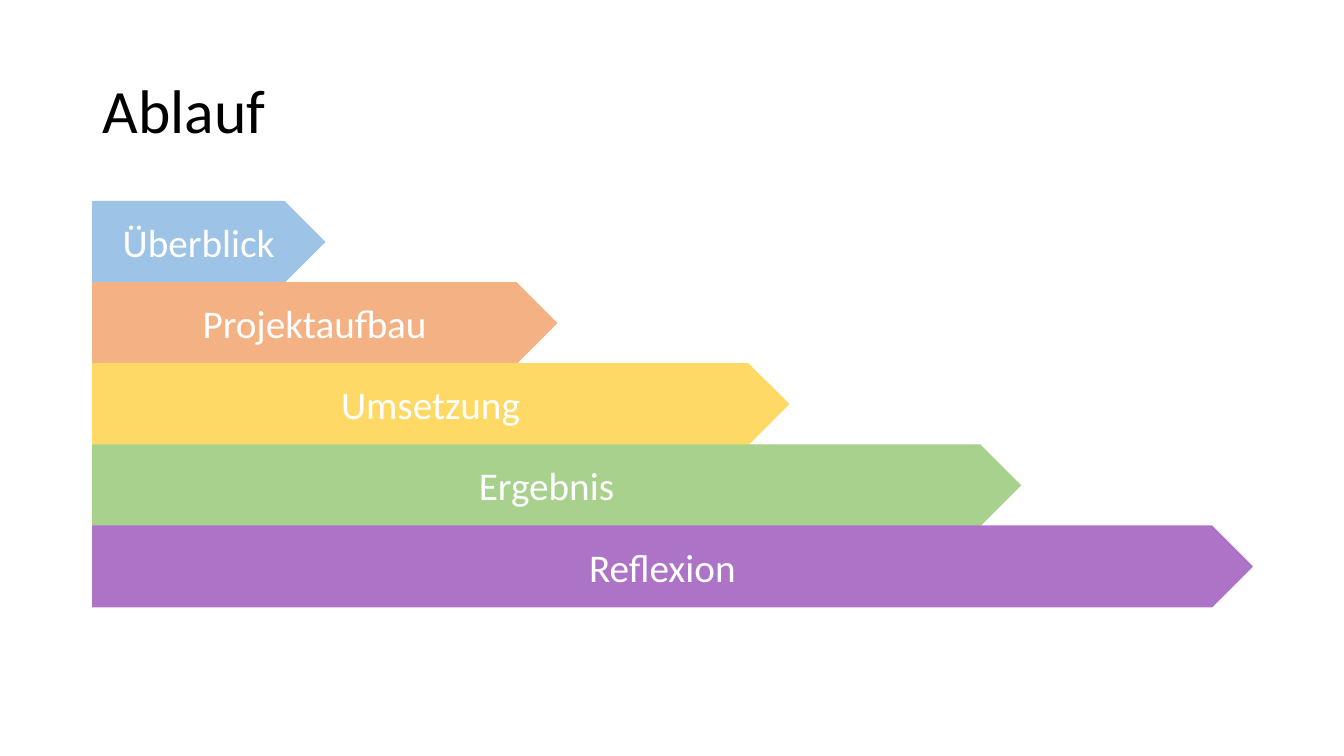
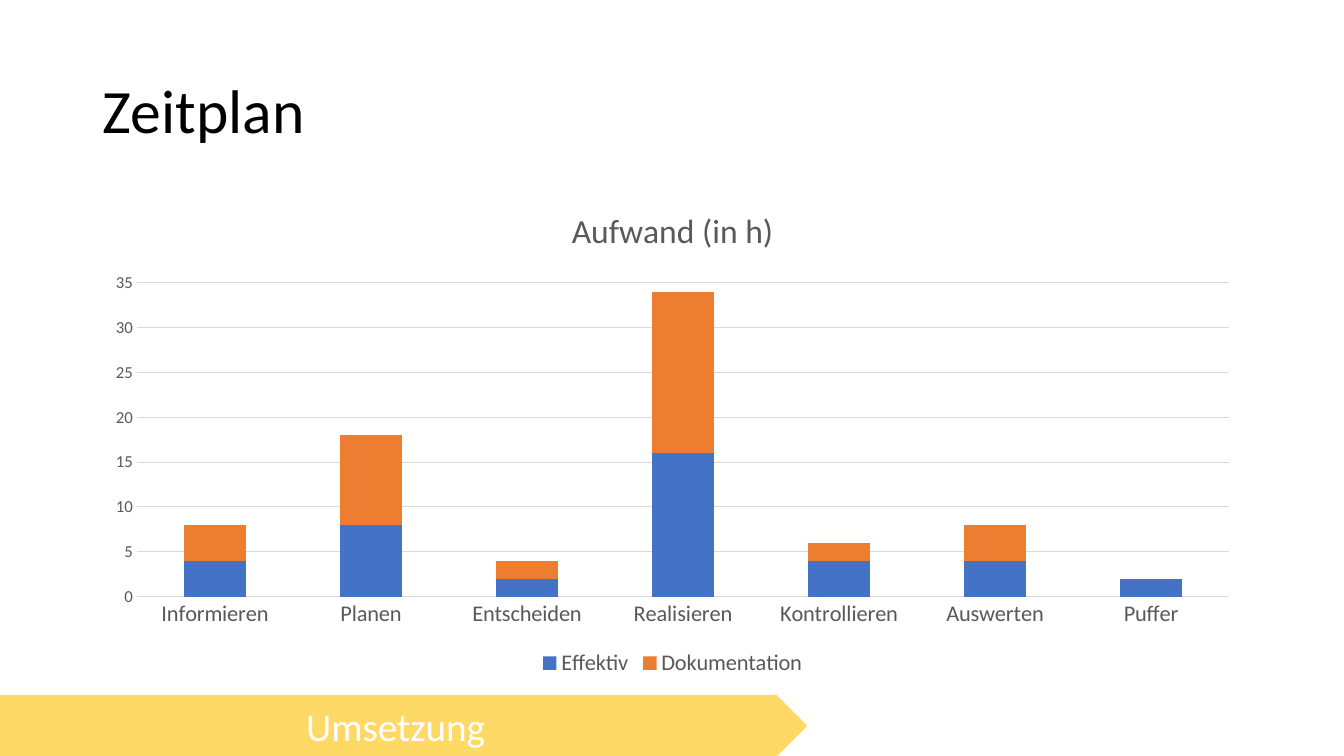
import pptx
import pptx.util
import pptx.chart.data
import pptx.dml.color
import pptx.enum.chart
import pptx.enum.dml
import pptx.enum.shapes
import pptx.enum.text

Inches, Pt = pptx.util.Inches, pptx.util.Pt
FONT = "Calibri"
GREY, GRID = "595959", "D9D9D9"
STEPS = {
    "Überblick": "9DC3E6",
    "Projektaufbau": "F4B183",
    "Umsetzung": "FFD966",
    "Ergebnis": "A9D18E",
    "Reflexion": "AD73C7",
}

prs = pptx.Presentation()
prs.slide_width, prs.slide_height = Inches(13.33), Inches(7.5)
MARGIN, CONTENT_W = Inches(0.92), Inches(11.5)


def style(font, size, color):
    font.name, font.size, font.bold = FONT, Pt(size), False
    font.color.rgb = pptx.dml.color.RGBColor.from_string(color)


def add_step(s, name, left, top, width, height):
    """Draw one step of the agenda as an arrow band in its own colour."""
    sp = s.shapes.add_shape(pptx.enum.shapes.MSO_SHAPE.PENTAGON, left, top, width, height)
    sp.shadow.inherit = False
    color = pptx.dml.color.RGBColor.from_string(STEPS[name])
    sp.fill.solid()
    sp.fill.fore_color.rgb = color
    sp.line.color.rgb = color
    sp.line.width = Pt(1)
    tf = sp.text_frame
    tf.vertical_anchor = pptx.enum.text.MSO_ANCHOR.MIDDLE
    p = tf.paragraphs[0]
    p.text = name
    p.alignment = pptx.enum.text.PP_ALIGN.CENTER
    style(p.font, 28, "FFFFFF")


# Slides with their shared title style
slides = []
for heading in ("Ablauf", "Zeitplan"):
    s = prs.slides.add_slide(prs.slide_layouts[5])
    title = s.shapes.title
    title.left, title.top, title.width, title.height = MARGIN, Inches(0.4), CONTENT_W, Inches(1.45)
    title.text_frame.vertical_anchor = pptx.enum.text.MSO_ANCHOR.MIDDLE
    p = title.text_frame.paragraphs[0]
    p.text = heading
    p.alignment = pptx.enum.text.PP_ALIGN.LEFT
    p.line_spacing = 0.9
    style(p.font, 44, "000000")
    slides.append(s)
agenda, schedule = slides

# Agenda: each band is one column longer than the one above
column, row = CONTENT_W // len(STEPS), Inches(0.805)
for i, name in enumerate(STEPS):
    add_step(agenda, name, MARGIN, Inches(2) + i * row, (i + 1) * column, Inches(0.8))

# Schedule: the band at the foot shows how far the talk has come
current = "Umsetzung"
progress = (list(STEPS).index(current) + 1) / len(STEPS)
band_h = Inches(0.6)
add_step(schedule, current, 0, prs.slide_height - band_h, int(prs.slide_width * progress), band_h)

data = pptx.chart.data.CategoryChartData()
data.categories = ["Informieren", "Planen", "Entscheiden", "Realisieren",
                   "Kontrollieren", "Auswerten", "Puffer"]
data.add_series("Effektiv", (4, 8, 2, 16, 4, 4, 2))
data.add_series("Dokumentation", (4, 10, 2, 18, 2, 4, 0))
chart = schedule.shapes.add_chart(
    pptx.enum.chart.XL_CHART_TYPE.COLUMN_STACKED,
    MARGIN, Inches(1.85), CONTENT_W, Inches(4.91), data).chart
style(chart.font, 10, "000000")

chart.has_title = True
p = chart.chart_title.text_frame.paragraphs[0]
p.text = "Aufwand (in h)"
style(p.font, 24, GREY)
chart.chart_title.include_in_layout = False

chart.has_legend = True
chart.legend.position = pptx.enum.chart.XL_LEGEND_POSITION.BOTTOM
chart.legend.include_in_layout = False
style(chart.legend.font, 16, GREY)

plot = chart.plots[0]
plot.gap_width, plot.overlap = 150, 100
for series, color in zip(plot.series, ("4472C4", "ED7D31")):
    series.format.fill.solid()
    series.format.fill.fore_color.rgb = pptx.dml.color.RGBColor.from_string(color)

cat_axis, val_axis = chart.category_axis, chart.value_axis
for axis, size in ((cat_axis, 16), (val_axis, 12)):
    axis.major_tick_mark = axis.minor_tick_mark = pptx.enum.chart.XL_TICK_MARK.NONE
    style(axis.tick_labels.font, size, GREY)
val_axis.minimum_scale, val_axis.maximum_scale, val_axis.major_unit = 0, 35, 5
val_axis.format.line.fill.background()
for line in (cat_axis.format.line, val_axis.major_gridlines.format.line):
    line.color.rgb = pptx.dml.color.RGBColor.from_string(GRID)
    line.width = Pt(0.75)

prs.save("out.pptx")
